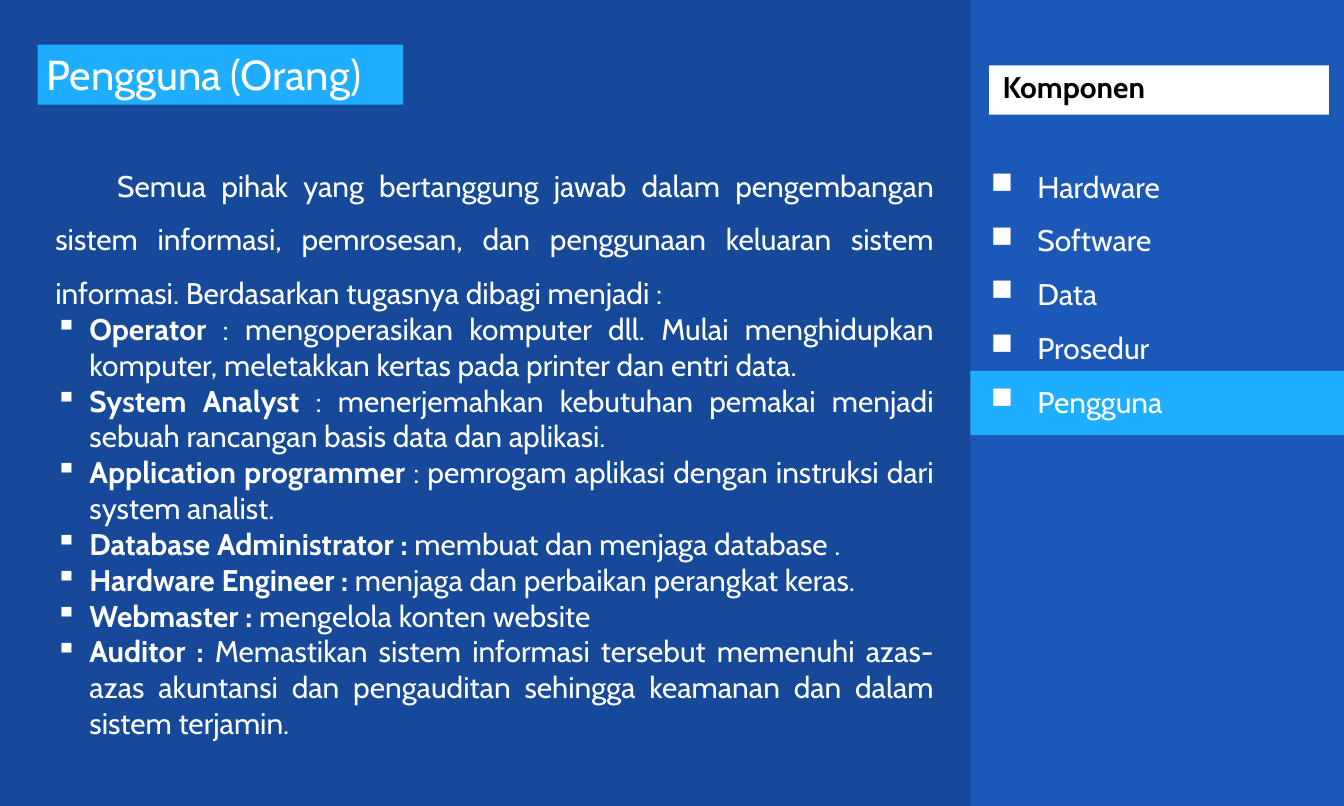
"""Build the slide on users (people) as a component of an information system."""
from lxml import etree
from pptx import Presentation
from pptx import util as u
from pptx.dml.color import RGBColor
from pptx.enum import shapes, text
from pptx.oxml.ns import qn

TITLE = "Pengguna (Orang)"
INTRO = (
    "Semua pihak yang bertanggung jawab dalam pengembangan sistem informasi, "
    "pemrosesan, dan penggunaan keluaran sistem informasi. "
    "Berdasarkan tugasnya dibagi menjadi :"
)
ROLES = [
    ("Operator ", ": mengoperasikan komputer dll. Mulai menghidupkan komputer, "
     "meletakkan kertas pada printer dan entri data."),
    ("System Analyst ", ": menerjemahkan kebutuhan pemakai menjadi sebuah "
     "rancangan basis data dan aplikasi."),
    ("Application programmer ", ": pemrogam aplikasi dengan instruksi dari "
     "system analist."),
    ("Database Administrator : ", "membuat dan menjaga database ."),
    ("Hardware Engineer : ", "menjaga dan perbaikan perangkat keras."),
    ("Webmaster : ", "mengelola konten website"),
    ("Auditor : ", "Memastikan sistem informasi tersebut memenuhi azas-azas "
     "akuntansi dan pengauditan sehingga keamanan dan dalam sistem terjamin."),
]
MENU_TITLE = "Komponen"
MENU = ["Hardware", "Software", "Data", "Prosedur", "Pengguna"]

THEME = {
    "font": "Cabin",
    "title": 33.6,
    "body": 24,
    "back": "16499A",
    "panel": "1B58B8",
    "accent": "1FAEFF",
    "light": "FFFFFF",
    "dark": "000000",
}
WIDTH, HEIGHT = 15, 9
PANEL_LEFT = 10.83


def color(name):
    """Return a theme colour."""
    return RGBColor.from_string(THEME[name])


def add_bar(page, area, fill):
    """Add a plain filled rectangle."""
    bar = page.shapes.add_shape(shapes.MSO_SHAPE.RECTANGLE, *map(u.Inches, area))
    bar.shadow.inherit = False
    bar.fill.solid()
    bar.fill.fore_color.rgb = color(fill)
    bar.line.fill.background()
    return bar


def add_box(page, area):
    """Add a wrapping text box."""
    box = page.shapes.add_textbox(*map(u.Inches, area))
    box.text_frame.word_wrap = True
    box.text_frame.auto_size = text.MSO_AUTO_SIZE.SHAPE_TO_FIT_TEXT
    return box


def write(box, spans, *, first=False, size="body", ink="light", align="LEFT",
          spacing=1.0, before=0, margin=0, indent=0, bullet=None):
    """Write one paragraph of (words, bold) spans in the given format."""
    frame = box.text_frame
    para = frame.paragraphs[0] if first else frame.add_paragraph()
    props = para._p.get_or_add_pPr()
    props.set("marL", str(u.Inches(margin)))
    props.set("indent", str(u.Inches(indent)))
    if bullet:
        tint = etree.SubElement(props, qn("a:buClr"))
        etree.SubElement(tint, qn("a:srgbClr"), val=THEME[ink])
        etree.SubElement(props, qn("a:buChar"), char=bullet)
    para.alignment = text.PP_ALIGN[align]
    para.line_spacing = spacing
    para.space_before = u.Pt(0 if first else before)
    for words, bold in spans:
        span = para.add_run()
        span.text = words
        span.font.name = THEME["font"]
        span.font.size = u.Pt(THEME[size])
        span.font.bold = bold
        span.font.color.rgb = color(ink)


def add_description(page):
    """Add the title, the introduction and the list of roles."""
    title = add_bar(page, (0.42, 0.5, 4.08, 0.67), "accent")
    title.text_frame.vertical_anchor = text.MSO_ANCHOR.TOP
    write(title, [(TITLE, False)], first=True, size="title")

    body = add_box(page, (0.52, 1.62, 10, 6.77))
    write(body, [(INTRO, False)], first=True, align="JUSTIFY",
          spacing=1.5, indent=0.69)
    for role, duty in ROLES:
        write(body, [(role, True), (duty, False)], align="JUSTIFY",
              margin=0.38, indent=-0.38, bullet="▪")


def add_menu(page):
    """Add the component list with the current entry highlighted."""
    heading = add_bar(page, (11.04, 0.73, 3.79, 0.55), "light")
    frame = heading.text_frame
    frame.margin_left = u.Inches(0.15)
    frame.margin_top = frame.margin_right = frame.margin_bottom = 0
    frame.vertical_anchor = text.MSO_ANCHOR.MIDDLE
    write(heading, [(MENU_TITLE, True)], first=True, ink="dark", spacing=0.8)

    add_bar(page, (PANEL_LEFT, 4.14, WIDTH - PANEL_LEFT, 0.72), "accent")
    menu = add_box(page, (10.66, 1.83, 3.76, 2.91))
    for index, entry in enumerate(MENU):
        write(menu, [(entry, False)], first=index == 0, before=14.4,
              margin=0.82, indent=-0.52, bullet="■")


def main():
    """Build and save the deck."""
    deck = Presentation()
    deck.slide_width, deck.slide_height = u.Inches(WIDTH), u.Inches(HEIGHT)
    page = deck.slides.add_slide(deck.slide_layouts[6])
    page.background.fill.solid()
    page.background.fill.fore_color.rgb = color("back")
    add_bar(page, (PANEL_LEFT, 0, WIDTH - PANEL_LEFT, HEIGHT), "panel")
    add_description(page)
    add_menu(page)
    deck.save("out.pptx")


if __name__ == "__main__":
    main()
